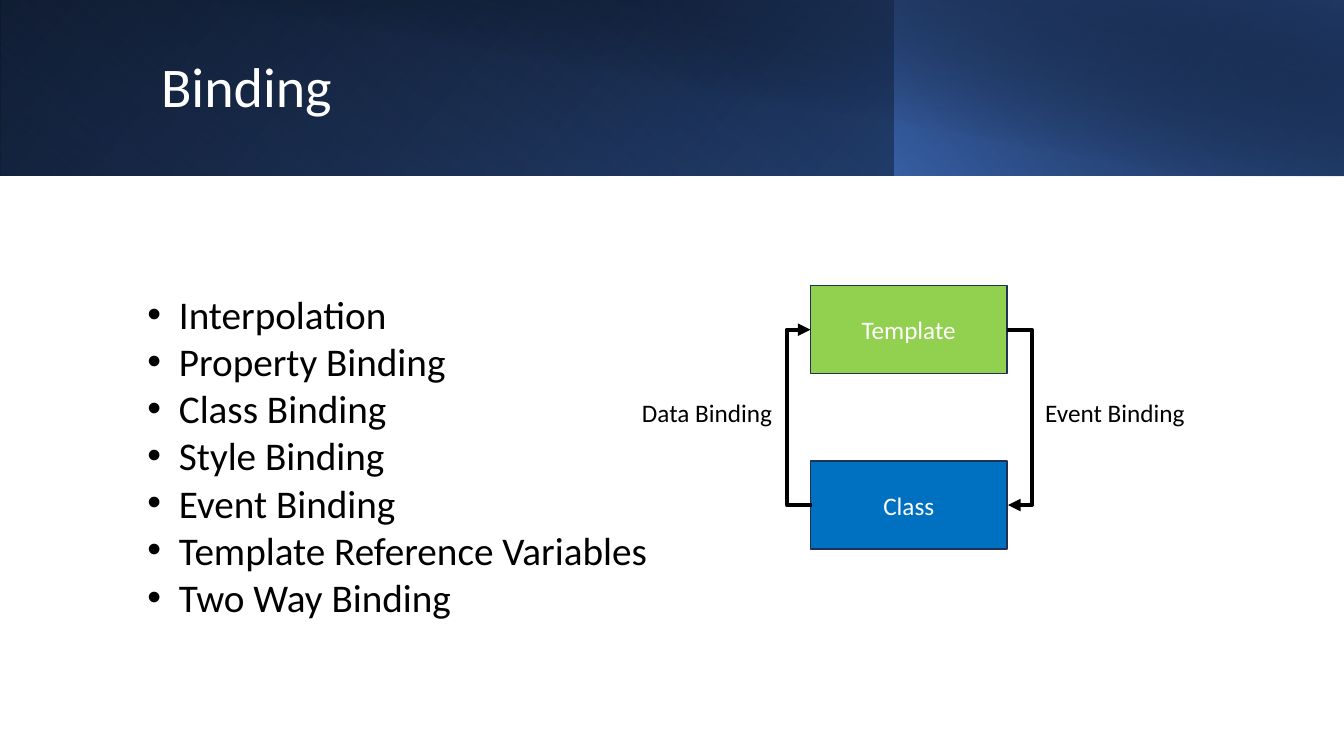
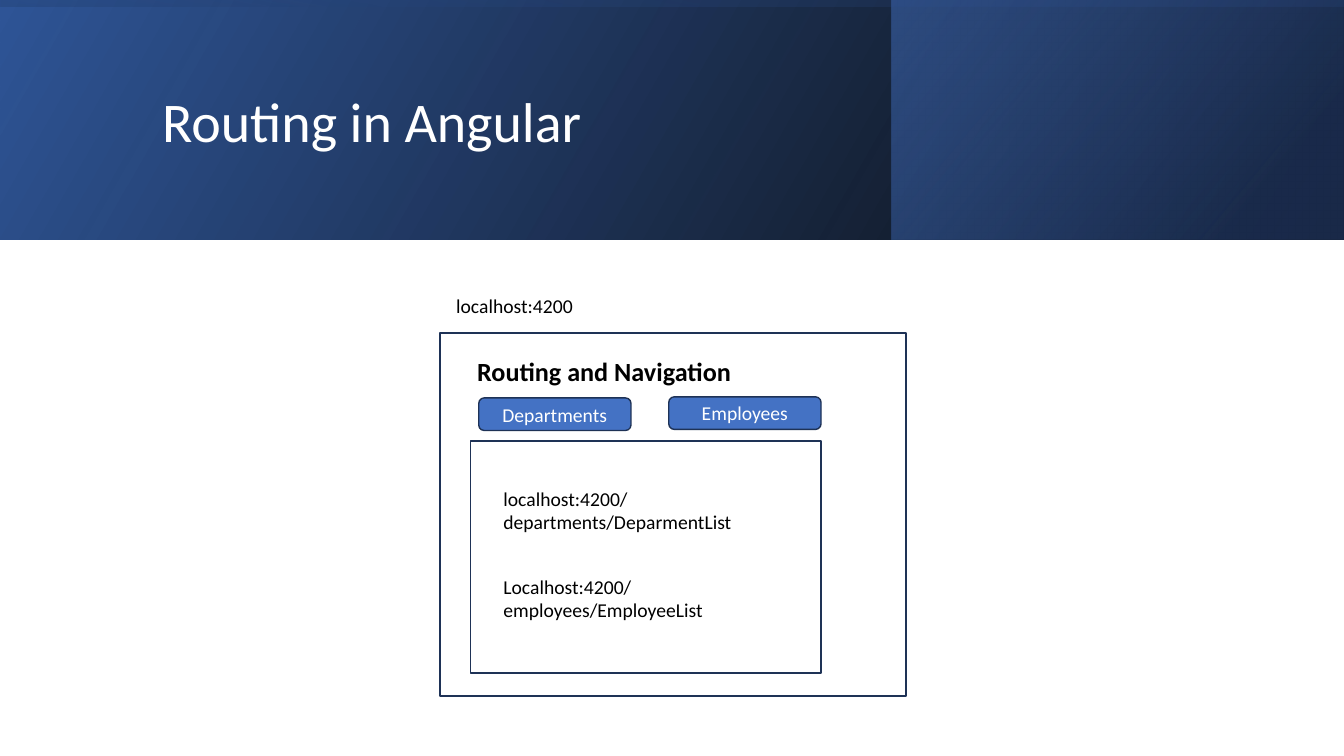
from pptx import Presentation, oxml
from pptx import util as u
from pptx.dml import color
from pptx.enum import shapes, text
from pptx.oxml import ns

PX = 9525  # EMU in one px, 96 px to the inch
WIDE, HIGH = 1280, 720
FONT = "Calibri"
COLORS = {
    "black": "000000", "white": "FFFFFF", "edge": "1E3256",
    "navy": "203864", "royal": "2F5597", "blue": "4472C4",
    "green": "92D050", "azure": "0070C0",
}
# Paragraph formats
TITLE = {"line_spacing": 0.9}
CENTER = {"alignment": text.PP_ALIGN.CENTER}
SPACED = {"space_after": u.Pt(6)}


def px(*lengths):
    return [u.Emu(length * PX) for length in lengths]


def rgb(name):
    return color.RGBColor.from_string(COLORS[name])


def write(shape, lines, size, ink="black", form=None, bold=False,
          anchor=text.MSO_ANCHOR.TOP, bullet=0):
    frame = shape.text_frame
    frame.word_wrap = True
    frame.vertical_anchor = anchor
    for index, line in enumerate(lines):
        para = frame.paragraphs[0] if index == 0 else frame.add_paragraph()
        if bullet:
            props = para._p.get_or_add_pPr()
            props.set("marL", str(bullet * PX))
            props.set("indent", str(-bullet * PX))
            for tag, key, value in (("buFont", "typeface", "Arial"), ("buChar", "char", "•")):
                oxml.parse_xml
                mark = oxml.parse_xml(f'<a:{tag} {ns.nsdecls("a")} {key}="{value}"/>')
                props.append(mark)
        for name, value in (form or {}).items():
            setattr(para, name, value)
        span = para.add_run()
        span.text = line
        for name, value in {"name": FONT, "size": u.Pt(size), "bold": bold}.items():
            setattr(span.font, name, value)
        span.font.color.rgb = rgb(ink)
    return frame


def add_text(page, box, lines, size, **options):
    return write(page.shapes.add_textbox(*px(*box)), lines, size, **options)


def add_box(page, box, fill=None, label=None, size=18, form=CENTER,
            kind=shapes.MSO_SHAPE.RECTANGLE, edge="edge"):
    shape = page.shapes.add_shape(kind, *px(*box))
    shape.shadow.inherit = False
    if fill:
        shape.fill.solid()
        shape.fill.fore_color.rgb = rgb(fill)
    else:
        shape.fill.background()
    if edge:
        shape.line.color.rgb = rgb(edge)
        shape.line.width = u.Pt(1)
    else:
        shape.line.fill.background()
    if label:
        write(shape, [label], size, "white", form, anchor=text.MSO_ANCHOR.MIDDLE)
    return shape


def add_gradient(page, box, angle, stops, rotation=0, flip=True):
    """Stops are (position %, colour, opacity %)."""
    shape = add_box(page, box, edge=None)
    shape.rotation = rotation
    props = shape._element.spPr
    if flip:
        props.find(ns.qn("a:xfrm")).set("flipH", "1")
    marks = "".join(
        f'<a:gs pos="{place * 1000}"><a:srgbClr val="{COLORS[name]}">'
        f'<a:alpha val="{opacity * 1000}"/></a:srgbClr></a:gs>'
        for place, name, opacity in stops)
    gradient = oxml.parse_xml(
        f'<a:gradFill {ns.nsdecls("a")} rotWithShape="1"><a:gsLst>{marks}</a:gsLst>'
        f'<a:lin ang="{angle * 60000}" scaled="0"/></a:gradFill>')
    props.replace(props.find(ns.qn("a:noFill")), gradient)


def add_header(page, title, title_box, layers):
    for layer in layers:
        add_gradient(page, **layer)
    add_text(page, title_box, [title], 40, ink="white", form=TITLE,
             anchor=text.MSO_ANCHOR.MIDDLE)


def add_elbow(page, start, end, reach):
    """Bent arrow whose middle leg lies reach px beyond its start."""
    line = page.shapes.add_connector(shapes.MSO_CONNECTOR.ELBOW, *px(*start, *end))
    line.line.color.rgb = rgb("black")
    line.line.width = u.Pt(3)
    line.line._get_or_add_ln().append(
        oxml.parse_xml(f'<a:tailEnd {ns.nsdecls("a")} type="triangle"/>'))
    props = line._element.spPr
    props.append(oxml.parse_xml(f'<a:effectLst {ns.nsdecls("a")}/>'))
    bend = reach * 100000 // abs(end[0] - start[0])
    guides = props.find(ns.qn("a:prstGeom")).get_or_add_avLst()
    guides.append(oxml.parse_xml(
        f'<a:gd {ns.nsdecls("a")} name="adj1" fmla="val {bend}"/>'))


def add_binding_diagram(page, left, top):
    wide, high, step, reach = 187, 84, 167, 24
    for row, (label, fill) in enumerate((("Template", "green"), ("Class", "azure"))):
        add_box(page, (left, top + row * step, wide, high), fill, label)
    upper = top + high // 2
    lower, right = upper + step, left + wide
    add_elbow(page, (left + 1, lower), (left, upper), reach)
    add_elbow(page, (right, upper), (right + 1, lower), reach)
    for offset, label in ((-170, "Data Binding"), (wide + 27, "Event Binding")):
        add_text(page, (left + offset, top + 102, 161, 38), [label], 18)


def add_browser(page, left, top):
    # Address and window frames
    add_box(page, (left, top, 444, 346))
    add_box(page, (left + 29, top + 103, 334, 221))
    add_text(page, (left + 6, top - 42, 232, 33), ["localhost:4200"], 14, form=SPACED)
    # Heading and navigation buttons
    add_text(page, (left + 26, top + 17, 372, 40), ["Routing and Navigation"], 18.7,
             form=SPACED, bold=True)
    for column, label in enumerate(("Departments", "Employees")):
        add_box(page, (left + 37 + column * 181, top + 62 - column, 145, 31), "blue",
                label, 14, {**CENTER, **SPACED}, shapes.MSO_SHAPE.ROUNDED_RECTANGLE)
    # Routes
    add_text(page, (left + 51, top + 142, 238, 139),
             ["localhost:4200/departments/DeparmentList",
              "Localhost:4200/employees/EmployeeList"],
             14, form={"space_after": u.Pt(29)})


def build_binding(page):
    band = 167
    add_header(page, "Binding", (144, 31, 1039, 108), [
        dict(box=(0, 0, WIDE, band), angle=140,
             stops=[(0, "black", 100), (100, "royal", 100)]),
        dict(box=(0, 0, 852, band), angle=230, rotation=180,
             stops=[(20, "blue", 0), (100, "navy", 55)]),
        dict(box=(852, 0, 428, band), angle=220,
             stops=[(0, "blue", 66), (100, "black", 30)]),
        dict(box=(48, 0, 1232, band + 1), angle=280, flip=False,
             stops=[(50, "black", 0), (99, "navy", 52)]),
    ])
    add_binding_diagram(page, 772, 272)
    add_text(page, (131, 272, 497, 326),
             ["Interpolation", "Property Binding", "Class Binding", "Style Binding",
              "Event Binding", "Template Reference Variables", "Two Way Binding"],
             28, bullet=30)


def build_routing(page):
    band = 228
    shift = (WIDE - band) // 2
    add_header(page, "Routing in Angular", (145, 36, 1020, 165), [
        dict(box=(0, 0, WIDE, band), angle=330,
             stops=[(0, "black", 96), (100, "royal", 100)]),
        dict(box=(849, 0, 430, band), angle=320,
             stops=[(19, "navy", 68), (100, "blue", 48)]),
        dict(box=(shift, -shift, band, WIDE), angle=350, rotation=270,
             stops=[(23, "royal", 16), (99, "black", 45)]),
    ])
    add_browser(page, 419, 317)


def main():
    deck = Presentation()
    deck.slide_width, deck.slide_height = px(WIDE, HIGH)
    for build in (build_binding, build_routing):
        build(deck.slides.add_slide(deck.slide_layouts[6]))
    deck.save("out.pptx")


if __name__ == "__main__":
    main()
